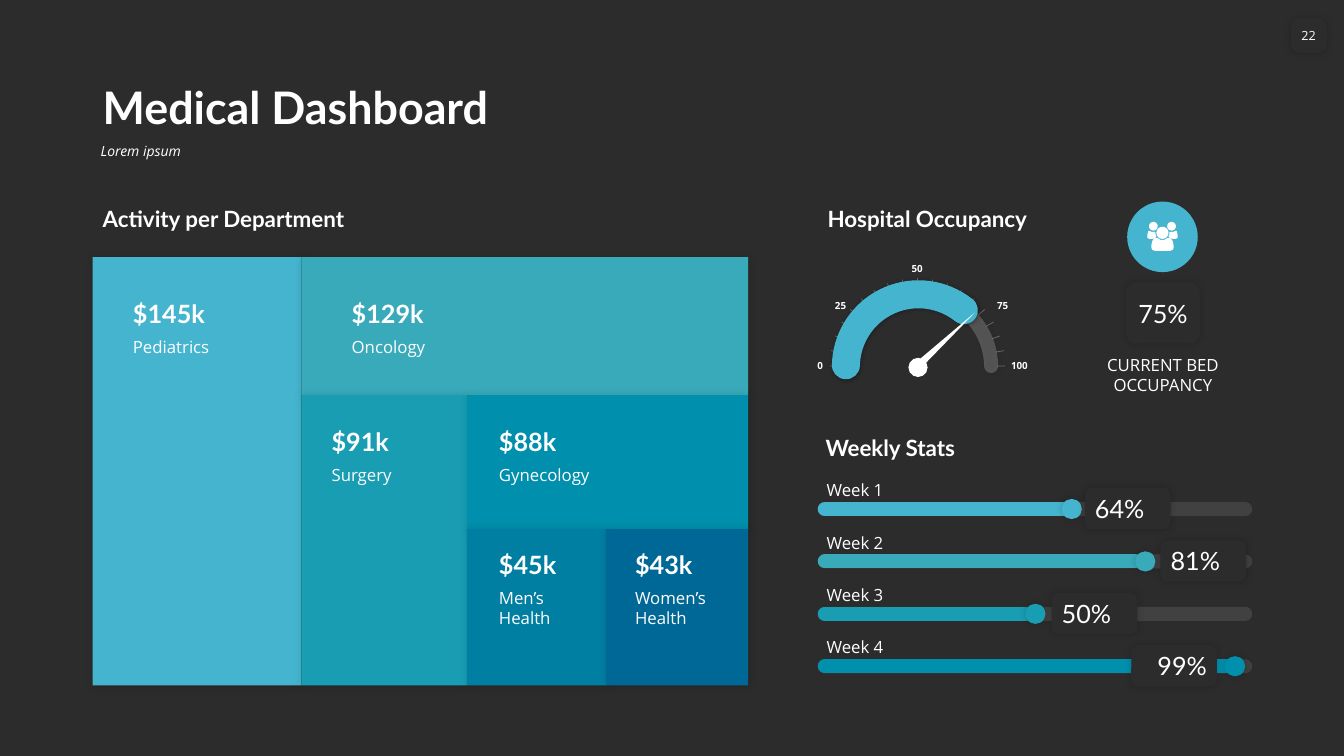
import math
import pptx
import pptx.util
import pptx.dml.color
import pptx.enum.shapes
import pptx.enum.text
import pptx.oxml
import pptx.oxml.ns

Inches = pptx.util.Inches
KINDS = pptx.enum.shapes.MSO_SHAPE
ALIGN = pptx.enum.text.PP_ALIGN
ANCHOR = pptx.enum.text.MSO_ANCHOR

# Content
PAGE_NUMBER = "22"
TITLE = "Medical Dashboard"
SUBTITLE = "Lorem ipsum"
HEADINGS = [("Activity per Department", 0.92, 1.98),
            ("Hospital Occupancy", 8.11, 1.98),
            ("Weekly Stats", 8.09, 4.25)]
# Amount, department, tile (left, top, width, height), label (left, top, width), colour
DEPARTMENTS = [
    ("$145k", "Pediatrics", (0.92, 2.55, 2.07, 4.25), (1.22, 2.91, 1.86), "sky"),
    ("$129k", "Oncology", (2.99, 2.55, 4.43, 1.37), (3.39, 2.91, 1.86), "aqua"),
    ("$91k", "Surgery", (2.99, 3.92, 1.64, 2.88), (3.19, 4.18, 1.29), "teal"),
    ("$88k", "Gynecology", (4.63, 3.92, 2.79, 1.34), (4.85, 4.18, 2.09), "ocean"),
    ("$45k", "Men’s Health", (4.63, 5.25, 1.39, 1.55), (4.85, 5.4, 1.05), "deep"),
    ("$43k", "Women’s Health", (6.01, 5.25, 1.41, 1.55), (6.2, 5.4, 1.05), "navy"),
]
GAUGE_LABELS = [("0", (8, 3.52, 0.26, 0.22), ALIGN.RIGHT),
                ("25", (8.18, 2.92, 0.31, 0.22), ALIGN.RIGHT),
                ("50", (8.94, 2.55, 0.31, 0.22), ALIGN.RIGHT),
                ("75", (9.79, 2.92, 0.31, 0.22), ALIGN.LEFT),
                ("100", (9.93, 3.52, 0.45, 0.22), ALIGN.LEFT)]
OCCUPANCY = "75%"
OCCUPANCY_NOTE = "CURRENT BED OCCUPANCY"
# Week, value, bar end, knob left, value box left, alignment, colour
WEEKS = [("Week 1", "64%", 10.6, 10.53, 10.76, ALIGN.LEFT, "sky"),
         ("Week 2", "81%", 11.26, 11.26, 11.51, ALIGN.LEFT, "aqua"),
         ("Week 3", "50%", 10.17, 10.17, 10.43, ALIGN.LEFT, "teal"),
         ("Week 4", "99%", 12.27, 12.15, 11.22, ALIGN.RIGHT, "ocean")]
# People icon, measured from its vertical axis and its top
ICON_AXIS, ICON_TOP = 11.53, 2.2
HEADS = [(-0.09, 0.045, 0.043), (0, 0.11, 0.06), (0.09, 0.045, 0.043)]
SIDE_BODY = [(0.06, 0.15), (0.1, 0.17), (0.13, 0.17), (0.15, 0.16), (0.15, 0.13),
             (0.14, 0.09), (0.13, 0.09), (0.11, 0.1), (0.07, 0.1), (0.07, 0.12)]
HALF_BODY = [(0, 0.18), (0.02, 0.18), (0.05, 0.16), (0.08, 0.16), (0.1, 0.19),
             (0.11, 0.23), (0.11, 0.26), (0.1, 0.28), (0.07, 0.29), (0, 0.29)]

THEME = {
    "colours": {"dark": "2C2C2C", "white": "FFFFFF", "sky": "45B5CF", "aqua": "39AAB9",
                "teal": "199DB3", "ocean": "008FAC", "deep": "007FA2", "navy": "006896"},
    "fonts": {
        "title": {"name": "Lato", "size": 32, "bold": True},
        "subtitle": {"name": "Open Sans", "size": 10, "italic": True},
        "heading": {"name": "Lato", "size": 16, "bold": True},
        "amount": {"name": "Lato", "size": 18, "bold": True},
        "value": {"name": "Lato", "size": 18},
        "label": {"name": "Open Sans", "size": 12},
        "tick": {"name": "Open Sans", "size": 7, "bold": True},
        "number": {"name": "Open Sans", "size": 9}},
    # Opacity in percent, blur and distance in points
    "shadows": {"tile": (15, 6, 1), "box": (20, 5, 0), "gauge": (30, 3, 1)},
}

deck = pptx.Presentation()
deck.slide_width, deck.slide_height = Inches(13.33), Inches(7.5)
page = deck.slides.add_slide(deck.slide_layouts[6])


# Helpers
def colour(name):
    return pptx.dml.color.RGBColor.from_string(THEME["colours"][name])


def add_xml(parent, tag, inner="", **attributes):
    listed = " ".join(f'{key}="{value}"' for key, value in attributes.items())
    namespace = pptx.oxml.ns.nsdecls("a")
    parent.append(pptx.oxml.parse_xml(f"<a:{tag} {namespace} {listed}>{inner}</a:{tag}>"))


def write(box, text, style, align=ALIGN.LEFT, anchor=ANCHOR.TOP, side=0.1, wrap=True, spacing=1.0):
    frame = box.text_frame
    layout = {"word_wrap": wrap, "vertical_anchor": anchor,
              "margin_left": Inches(side), "margin_right": Inches(side),
              "margin_top": Inches(0.05), "margin_bottom": Inches(0.05)}
    for key, value in layout.items():
        setattr(frame, key, value)
    para = frame.paragraphs[0]
    para.alignment, para.line_spacing = align, spacing
    span = para.add_run()
    span.text = text
    for key, value in THEME["fonts"][style].items():
        setattr(span.font, key, pptx.util.Pt(value) if key == "size" else value)
    span.font.color.rgb = colour("white")


def add_text(place, text, style, **options):
    write(page.shapes.add_textbox(*map(Inches, place)), text, style, **options)


def add_shadow(shape, shadow):
    shape.shadow.inherit = False
    if shadow:
        opacity, blur, distance = THEME["shadows"][shadow]
        effects = shape._element.spPr.find(pptx.oxml.ns.qn("a:effectLst"))
        add_xml(effects, "outerShdw",
                f'<a:srgbClr val="000000"><a:alpha val="{opacity * 1000}"/></a:srgbClr>',
                blurRad=blur * 12700, dist=distance * 12700, dir=45 * 60000, rotWithShape=0)


def add_block(kind, place, fill, shadow=None):
    block = page.shapes.add_shape(kind, *map(Inches, place))
    block.fill.solid()
    block.fill.fore_color.rgb = colour(fill)
    block.line.fill.background()
    add_shadow(block, shadow)
    return block


def style_line(shape, name, width, opacity=100, cap="rnd"):
    shape.line.color.rgb = colour(name)
    shape.line.width = pptx.util.Pt(width)
    outline = shape.line._get_or_add_ln()
    outline.set("cap", cap)
    if opacity < 100:
        add_xml(outline.find(".//" + pptx.oxml.ns.qn("a:srgbClr")), "alpha", val=opacity * 1000)


def add_line(start, end, *style):
    line = page.shapes.add_connector(pptx.enum.shapes.MSO_CONNECTOR.STRAIGHT,
                                     *map(Inches, start + end))
    style_line(line, *style)
    add_xml(line._element.spPr, "effectLst")


def add_arc(start, end, *style):
    arc = page.shapes.add_shape(KINDS.ARC, *map(Inches, (8.39, 2.92, 1.44, 1.44)))
    for index, degrees in enumerate((start, end)):
        arc.adjustments[index] = degrees * 0.6
    arc.fill.background()
    style_line(arc, *style)
    add_shadow(arc, "gauge")


# Background, title and headings
page.background.fill.solid()
page.background.fill.fore_color.rgb = colour("dark")
add_text((0.92, 0.58, 11.5, 0.8), TITLE, "title", anchor=ANCHOR.BOTTOM, spacing=0.9)
add_text((0.9, 1.38, 11.52, 0.36), SUBTITLE, "subtitle", spacing=0.9)
number_box = add_block(KINDS.ROUNDED_RECTANGLE, (12.8, 0.18, 0.36, 0.35), "dark", "box")
number_box.adjustments[0] = 0.27
write(number_box, PAGE_NUMBER, "number", ALIGN.CENTER, ANCHOR.MIDDLE, 0, False)
for heading, left, top in HEADINGS:
    add_text((left, top, 4.34, 0.37), heading, "heading", anchor=ANCHOR.BOTTOM)

# Department tiles
for amount, department, tile, (left, top, width), fill in DEPARTMENTS:
    add_block(KINDS.RECTANGLE, tile, fill, "tile")
    add_text((left, top, width, 0.4), amount, "amount", anchor=ANCHOR.BOTTOM)
    add_text((left, top + 0.385, width, 0.3), department, "label")

# Occupancy gauge
add_arc(179.5, 359.3, "white", 10, 20)
add_block(KINDS.OVAL, (9.01, 3.55, 0.19, 0.19), "white")
for degrees in range(0, 181, 10):
    across, up = math.cos(math.radians(degrees)), math.sin(math.radians(degrees))
    outer, inner = [(9.1 + radius * across, 3.63 - radius * up) for radius in (0.87, 0.79)]
    add_line(outer, inner, "white", 0.5, 30, "flat")
for label, place, align in GAUGE_LABELS:
    add_text(place, label, "tick", align=align, anchor=ANCHOR.MIDDLE, wrap=False)
add_arc(181.3, 308.7, "sky", 20)
needle = add_block(KINDS.ISOSCELES_TRIANGLE, (9.33, 2.97, 0.08, 0.82), "white")
needle.rotation = 47

# Bed occupancy
occupancy_box = add_block(KINDS.ROUNDED_RECTANGLE, (11.17, 2.8, 0.73, 0.61), "dark", "box")
write(occupancy_box, OCCUPANCY, "value", ALIGN.CENTER, ANCHOR.MIDDLE, 0)
add_text((10.8, 3.47, 1.47, 0.5), OCCUPANCY_NOTE, "label", align=ALIGN.CENTER, side=0.04)
add_block(KINDS.OVAL, (11.18, 2, 0.7, 0.7), "sky")
turns = [math.radians(step * 15) for step in range(24)]
outlines = [[(x + r * math.cos(turn), y + r * math.sin(turn)) for turn in turns] for x, y, r in HEADS]
outlines += [SIDE_BODY, [(-x, y) for x, y in SIDE_BODY],
             HALF_BODY + [(-x, y) for x, y in HALF_BODY[-2:0:-1]]]
builder = None
for outline in outlines:
    points = [(Inches(ICON_AXIS + x), Inches(ICON_TOP + y)) for x, y in outline]
    if builder is None:
        builder = page.shapes.build_freeform(*points[0])
    else:
        builder.move_to(*points[0])
    builder.add_line_segments(points[1:], close=True)
people = builder.convert_to_shape()
people.fill.solid()
people.fill.fore_color.rgb = colour("white")
people.line.fill.background()
add_shadow(people, None)

# Weekly sliders
for index, (week, value, bar_end, knob, box_left, align, fill) in enumerate(WEEKS):
    middle = 5.05 + index * 0.52
    add_text((8.1, middle - 0.34, 1.94, 0.3), week, "label", anchor=ANCHOR.BOTTOM)
    add_line((8.18, middle), (12.35, middle), "white", 10, 10)
    add_line((8.18, middle), (bar_end, middle), fill, 10)
    add_block(KINDS.OVAL, (knob, middle - 0.1, 0.2, 0.2), fill, "box")
    value_box = add_block(KINDS.ROUNDED_RECTANGLE, (box_left, middle - 0.21, 0.85, 0.41), "dark", "box")
    write(value_box, value, "value", align, ANCHOR.MIDDLE, 0.08)

deck.save("out.pptx")
